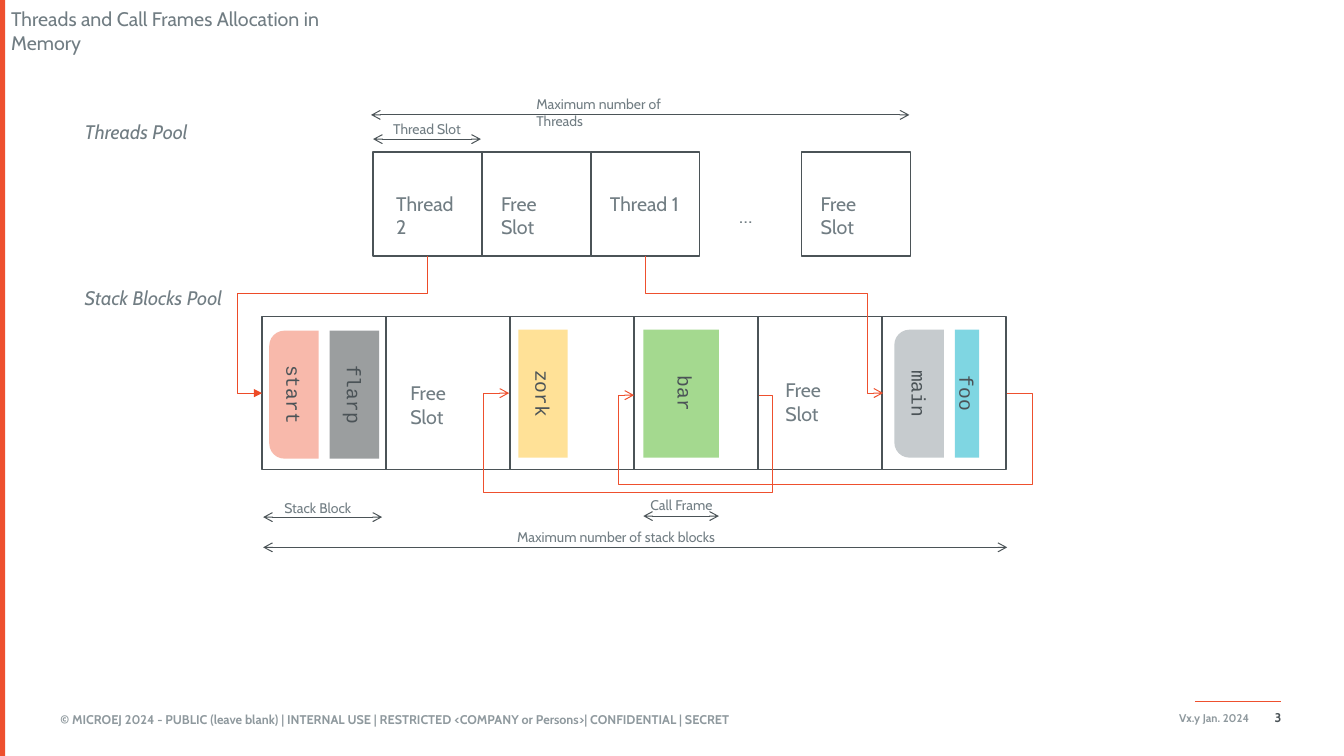
import math

from lxml import etree
from pptx import Presentation
from pptx.dml.color import RGBColor
from pptx.enum import shapes, text
from pptx.oxml import ns
from pptx.util import Inches, Pt

ORANGE = RGBColor(0xEE, 0x50, 0x2E)
DEEP_ORANGE = RGBColor(0xED, 0x4B, 0x28)
SLATE = RGBColor(0x4B, 0x53, 0x57)
GRAY = RGBColor(0x71, 0x7D, 0x83)
FOOTER_GRAY = RGBColor(0x8F, 0x99, 0x9E)
WHITE = RGBColor(0xFF, 0xFF, 0xFF)
PINK = RGBColor(0xF8, 0xB9, 0xAB)
CHARCOAL = RGBColor(0x38, 0x3E, 0x41)
GREEN = RGBColor(0xA4, 0xD9, 0x8F)
SILVER = RGBColor(0xC6, 0xCB, 0xCE)
CYAN = RGBColor(0x00, 0xAE, 0xC7)
YELLOW = RGBColor(0xFF, 0xE1, 0x97)

LEFT, CENTER, RIGHT = text.PP_ALIGN.LEFT, text.PP_ALIGN.CENTER, text.PP_ALIGN.RIGHT


class Diagram:
    """Holds the current slide and the style shared by its elements."""
    font = "Cabin"
    code_font = "Courier New"

    def __init__(self, slide):
        self.shapes = slide.shapes

    def label(self, words, x, y, w, h=0.24, size=14, color=GRAY, align=LEFT, font=None,
              bold=False, italic=False, wrap=False, rotation=0, after=6):
        sp = self.shapes.add_textbox(Inches(x), Inches(y), Inches(w), Inches(h))
        sp.rotation = rotation
        tf = sp.text_frame
        tf.margin_left = tf.margin_right = tf.margin_top = tf.margin_bottom = 0
        tf.word_wrap = wrap
        p = tf.paragraphs[0]
        p.alignment = align
        p.space_after = Pt(after)
        r = p.add_run()
        r.text = words
        r.font.name = font or self.font
        r.font.size = Pt(size)
        r.font.color.rgb = color
        r.font.bold = bold
        r.font.italic = italic
        return sp

    def box(self, x, y, w, h, fill=WHITE, line=SLATE, kind=shapes.MSO_SHAPE.RECTANGLE):
        sp = self.shapes.add_shape(kind, Inches(x), Inches(y), Inches(w), Inches(h))
        sp.shadow.inherit = False
        sp.fill.solid()
        sp.fill.fore_color.rgb = fill
        if line is None:
            sp.line.fill.background()
        else:
            sp.line.color.rgb = line
            sp.line.width = Pt(1)
        return sp

    def call_frame(self, name, x, y, w, fill, text_shift=0, rounded=False, alpha=None):
        """Upright frame w wide, with its name running downwards."""
        length = 1.27
        left, top = x + (w - length) / 2, y + (length - w) / 2
        sp = self.box(left, top, length, w, fill, None, shapes.MSO_SHAPE.ROUND_2_SAME_RECTANGLE)
        sp.rotation = 270
        sp.adjustments[0] = 0.308 if rounded else 0
        sp.adjustments[1] = 0
        if alpha:
            color = sp._element.spPr.find(".//" + ns.qn("a:srgbClr"))
            etree.SubElement(color, ns.qn("a:alpha"), val=str(alpha * 1000))
        self.label(name, left + text_shift, y + (length - 0.24) / 2, length, color=SLATE,
                   align=CENTER, font=self.code_font, wrap=True, rotation=90)

    def line(self, start, end, color=SLATE, head=None, tail=None,
             kind=shapes.MSO_CONNECTOR.STRAIGHT):
        sp = self.shapes.add_connector(kind, *(Inches(v) for v in (*start, *end)))
        sp.line.color.rgb = color
        sp.line.width = Pt(0.75)
        ln = sp.line._get_or_add_ln()
        for tag, arrow in (("a:headEnd", head), ("a:tailEnd", tail)):
            if arrow:
                etree.SubElement(ln, ns.qn(tag), type=arrow)
        etree.SubElement(sp._element.spPr, ns.qn("a:effectLst"))
        return sp

    def measure(self, x1, x2, y):
        self.line((x1, y), (x2, y), head="arrow", tail="arrow")

    def elbow(self, points, rotation=0, color=ORANGE, tail="arrow"):
        """Bent connector through all points; its frame is turned by rotation."""
        (x1, y1), (x2, y2) = points[0], points[-1]
        cx, cy = (x1 + x2) / 2, (y1 + y2) / 2
        cos, sin = (round(f(math.radians(rotation))) for f in (math.cos, math.sin))
        turned = [(cx + (x - cx) * cos + (y - cy) * sin, cy - (x - cx) * sin + (y - cy) * cos)
                  for x, y in points]
        start, end = turned[0], turned[-1]
        sp = self.line(start, end, color, tail=tail, kind=shapes.MSO_CONNECTOR.ELBOW)
        spPr = sp._element.spPr
        spPr.find(ns.qn("a:xfrm")).set("rot", str(rotation * 60000))
        geometry = spPr.find(ns.qn("a:prstGeom"))
        geometry.set("prst", f"bentConnector{len(points) - 1}")
        guides = geometry.find(ns.qn("a:avLst"))
        for i, point in enumerate(turned[1:-2]):
            axis = i % 2
            share = (point[axis] - start[axis]) / (end[axis] - start[axis])
            etree.SubElement(guides, ns.qn("a:gd"), name=f"adj{i + 1}",
                             fmla=f"val {round(share * 100000)}")


def main():
    prs = Presentation()
    prs.slide_width, prs.slide_height = Inches(13.33), Inches(7.5)
    d = Diagram(prs.slides.add_slide(prs.slide_layouts[6]))

    # Page frame
    d.box(0, 0, 0.05, 7.5, ORANGE, None)
    d.line((11.85, 6.96), (12.71, 6.96), ORANGE)
    number = d.label("3", 12.21, 7.06, 0.5, 0.12, 9, SLATE, RIGHT, bold=True, wrap=True, after=0)
    number.text_frame.vertical_anchor = text.MSO_ANCHOR.MIDDLE
    d.label("Vx.y Jan. 2024", 10.97, 7.06, 1.42, 0.16, 8, FOOTER_GRAY, RIGHT,
            bold=True, wrap=True, after=0)
    d.label("© MICROEJ 2024 - PUBLIC (leave blank) | INTERNAL USE | RESTRICTED "
            "<COMPANY or Persons>| CONFIDENTIAL | SECRET",
            0.6, 7.06, 6.85, 0.16, 9, FOOTER_GRAY, bold=True, wrap=True, after=0)
    d.label("Threads and Call Frames Allocation in Memory", 0.11, 0.07, 3.68, wrap=True)
    d.label("Threads Pool", 0.84, 1.19, 1.05, italic=True)
    d.label("Stack Blocks Pool", 0.84, 2.84, 1.4, italic=True)

    # Threads pool
    slot = 1.08
    for x in (3.7, 3.7 + slot, 3.7 + 2 * slot, 7.95):
        d.box(x, 1.51, slot, 1.03)
    for name, x in (("Thread 2", 3.93), ("Free Slot", 4.97), ("Free Slot", 8.14)):
        d.label(name, x, 1.9, 0.7, wrap=True)
    d.label("Thread 1", 6.05, 1.9, 0.7)
    d.label("…", 7.33, 2.02, 0.18)

    # Stack blocks pool
    block = 1.23
    for i in range(6):
        d.box(2.6 + i * block, 3.14, block, 1.52)
    for x, y in ((4.07, 3.78), (7.79, 3.75)):
        d.label("Free Slot", x, y, 0.7, wrap=True)
    d.call_frame("start", 2.67, 3.28, 0.49, PINK, rounded=True)
    d.call_frame("flarp", 3.27, 3.28, 0.49, CHARCOAL, alpha=50)
    d.call_frame("zork", 5.14, 3.27, 0.49, YELLOW)
    d.call_frame("bar", 6.38, 3.27, 0.75, GREEN, text_shift=0.04)
    d.call_frame("main", 8.87, 3.27, 0.49, SILVER, rounded=True)
    d.call_frame("foo", 9.47, 3.27, 0.24, CYAN, alpha=50)

    # Links
    d.elbow([(4.24, 2.54), (4.24, 2.91), (2.35, 2.91), (2.35, 3.9), (2.6, 3.9)],
            90, DEEP_ORANGE, "triangle")
    d.elbow([(6.4, 2.54), (6.4, 2.91), (8.61, 2.91), (8.61, 3.9), (8.76, 3.9)], 270)
    d.elbow([(9.99, 3.9), (10.24, 3.9), (10.24, 4.8), (6.14, 4.8), (6.14, 3.92), (6.29, 3.92)])
    d.elbow([(7.53, 3.92), (7.66, 3.92), (7.66, 4.88), (4.8, 4.88), (4.8, 3.9), (5.05, 3.9)], 180)

    # Dimensions
    for name, x, y, w, x1, x2, line_y in (
            ("Maximum number of Threads", 5.32, 0.95, 1.72, 3.68, 9.02, 1.14),
            ("Thread Slot", 3.9, 1.2, 0.68, 3.7, 4.77, 1.38),
            ("Stack Block", 2.82, 4.96, 0.68, 2.61, 3.79, 5.13),
            ("Call Frame", 6.45, 4.93, 0.68, 6.38, 7.13, 5.12),
            ("Maximum number of stack blocks", 5.13, 5.24, 1.96, 2.61, 9.99, 5.43)):
        d.label(name, x, y, w, 0.17, 10, wrap=name.endswith("Threads"))
        d.measure(x1, x2, line_y)

    prs.save("out.pptx")


if __name__ == "__main__":
    main()
